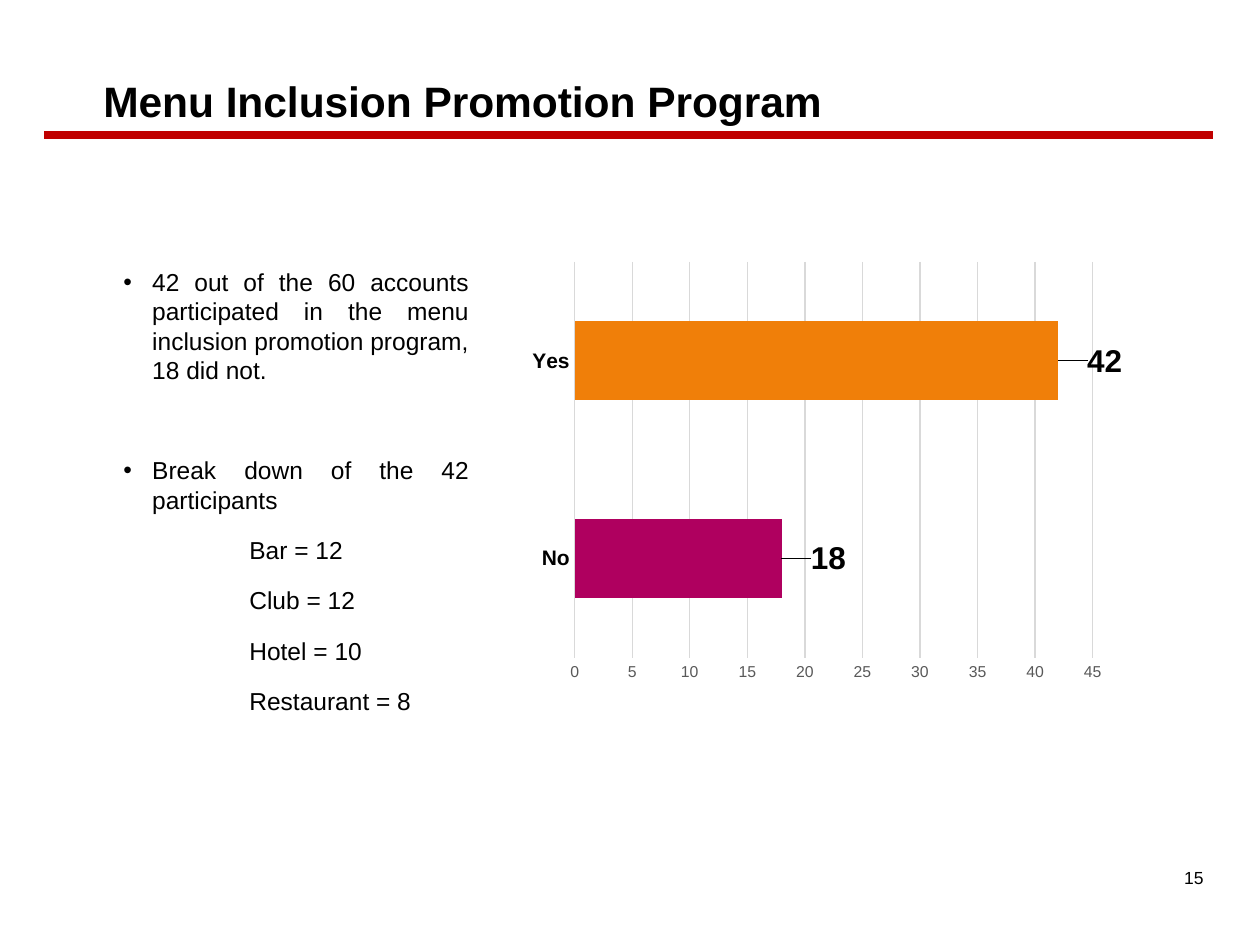
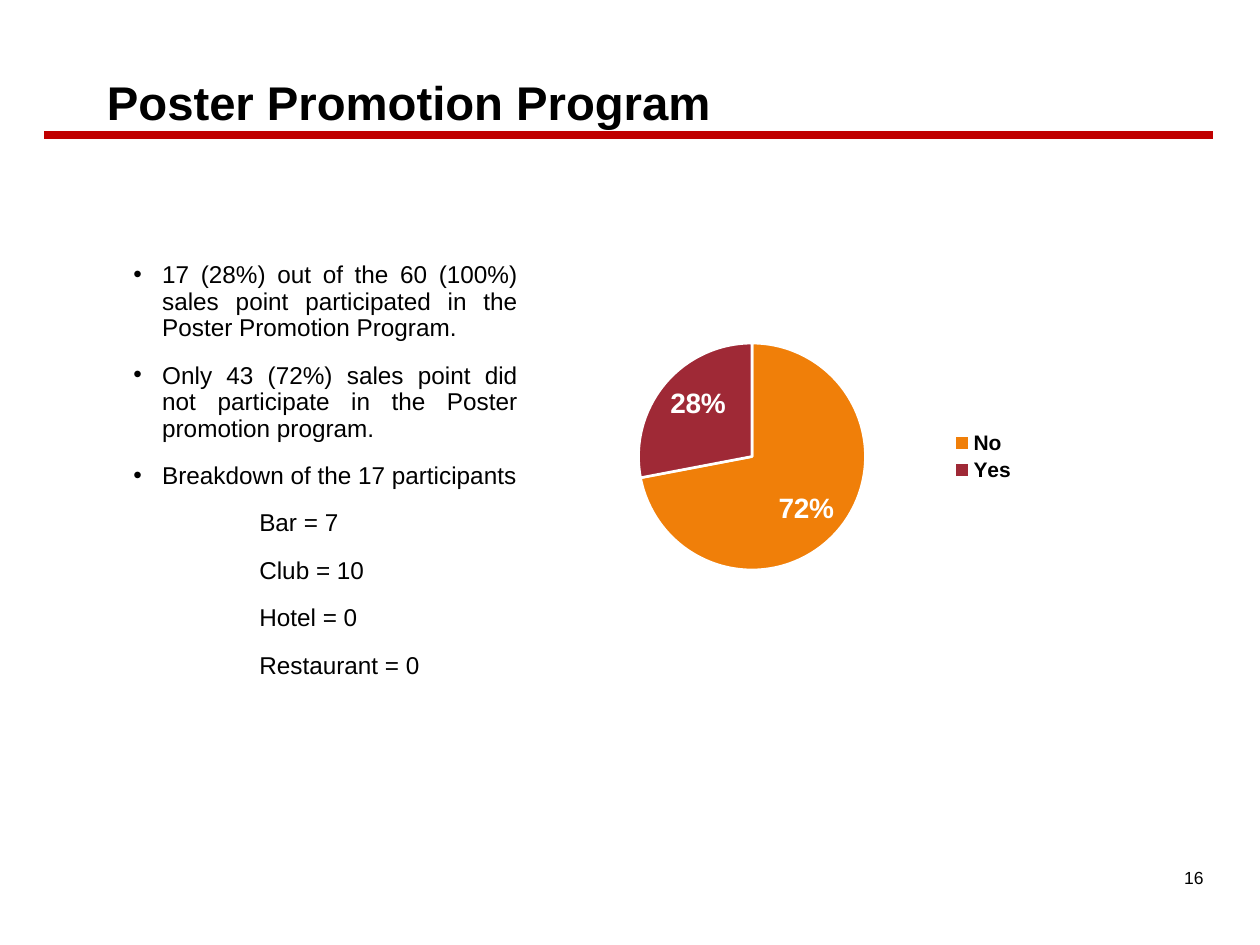
"""Build two promotion programme slides with a title, bullet notes and a chart each."""
from lxml.etree import SubElement
from pptx import Presentation
from pptx.chart.data import CategoryChartData
from pptx.dml.color import RGBColor
from pptx.enum.chart import XL_CHART_TYPE as Chart, XL_LABEL_POSITION as Label
from pptx.enum.chart import XL_LEGEND_POSITION as Legend, XL_TICK_MARK as Tick
from pptx.enum.shapes import MSO_CONNECTOR
from pptx.enum.text import MSO_ANCHOR as Anchor, PP_ALIGN as Align
from pptx.oxml import parse_xml
from pptx.oxml.ns import nsdecls, qn
from pptx.util import Pt

BLACK = RGBColor(0x00, 0x00, 0x00)
WHITE = RGBColor(0xFF, 0xFF, 0xFF)
RED = RGBColor(0xC0, 0x00, 0x00)
ORANGE = RGBColor(0xF0, 0x7F, 0x09)
MAGENTA = RGBColor(0xAF, 0x00, 0x5F)
MAROON = RGBColor(0x9F, 0x29, 0x36)
GRAY = RGBColor(0x59, 0x59, 0x59)
GRID = RGBColor(0xD9, 0xD9, 0xD9)
FONT = "Arial"
HANGING = 16.5
ENTRY_INDENT = 72


def set_font(font, size, color=BLACK, bold=False):
    """Apply the shared typeface with a size, colour and weight."""
    font.name, font.size, font.bold = FONT, Pt(size), bold
    font.color.rgb = color


def write(paragraph, text, size, bold=False, align=None, indent=0, bullet=False,
          pitch=None, after=0):
    """Fill a paragraph with one formatted run."""
    run = paragraph.add_run()
    run.text = text
    set_font(run.font, size, bold=bold)
    paragraph.alignment = align
    paragraph.space_after = Pt(after)
    if pitch:
        paragraph.line_spacing = Pt(pitch)
    properties = paragraph._p.get_or_add_pPr()
    properties.set("marL", str(Pt(indent)))
    properties.set("indent", str(Pt(-indent if bullet else 0)))
    if bullet:
        SubElement(properties, qn("a:buFont")).set("typeface", FONT)
        SubElement(properties, qn("a:buChar")).set("char", "•")


def manual_layout(x, y, w=None, h=None):
    """Return a chart layout element, for an inner plot area when sized."""
    sized = w is not None
    values = [("x", x), ("y", y)] + ([("w", w), ("h", h)] if sized else [])
    modes = '<c:layoutTarget val="inner"/><c:xMode val="edge"/><c:yMode val="edge"/>'
    places = "".join(f'<c:{name} val="{value}"/>' for name, value in values)
    return parse_xml(f'<c:layout {nsdecls("c")}><c:manualLayout>{modes if sized else ""}'
                     f'{places}</c:manualLayout></c:layout>')


class Deck:
    """Hold the shared style and the slide being built."""

    def __init__(self):
        """Open an empty 4:3 presentation."""
        self.file = Presentation()
        self.file.slide_width, self.file.slide_height = Pt(720), Pt(540)
        self.slide = None

    def box(self, left, top, width, height, inset_left=7.2, inset_top=3.6):
        """Add a wrapping text frame."""
        frame = self.slide.shapes.add_textbox(Pt(left), Pt(top), Pt(width), Pt(height)).text_frame
        frame.word_wrap = True
        frame.margin_left, frame.margin_top = Pt(inset_left), Pt(inset_top)
        frame.margin_right, frame.margin_bottom = Pt(7.2), Pt(3.6)
        return frame

    def start(self, number):
        """Add a slide with its page number and title rule."""
        self.slide = self.file.slides.add_slide(self.file.slide_layouts[6])
        page = self.box(504, 491.8, 190.8, 37.4)
        write(page.paragraphs[0], str(number), 10, align=Align.RIGHT)
        rule = self.slide.shapes.add_connector(MSO_CONNECTOR.STRAIGHT,
                                               Pt(25.2), Pt(77), Pt(693.4), Pt(77))
        rule.line.color.rgb, rule.line.width = RED, Pt(4.5)
        SubElement(rule._element.spPr, qn("a:effectLst"))

    def title(self, text, size, *place):
        """Add the bottom-anchored slide title."""
        frame = self.box(*place, inset_left=28)
        frame.vertical_anchor = Anchor.BOTTOM
        write(frame.paragraphs[0], text, size, bold=True)

    def notes(self, bullets, entries, place, inset_top, size, pitch, bullet_gap=12):
        """Add justified bullets followed by an indented breakdown."""
        frame = self.box(*place, inset_left=28, inset_top=inset_top)
        for index, text in enumerate(bullets + entries):
            paragraph = frame.add_paragraph() if index else frame.paragraphs[0]
            bullet = index < len(bullets)
            after = bullet_gap if index < len(bullets) - 1 else 12
            write(paragraph, text, size, align=Align.JUSTIFY, bullet=bullet, pitch=pitch,
                  indent=HANGING if bullet else ENTRY_INDENT, after=after)

    def chart(self, kind, values, colors, place, plot_place):
        """Add a No/Yes chart with one colour per point."""
        data = CategoryChartData()
        data.categories = ["No", "Yes"]
        data.add_series("Series 1", values)
        chart = self.slide.shapes.add_chart(kind, *map(Pt, place), data).chart
        chart.has_title = chart.has_legend = False
        set_font(chart.font, 10)
        area = chart._chartSpace.chart.plotArea
        for layout in area.findall(qn("c:layout")):
            area.remove(layout)
        area.insert(0, manual_layout(*plot_place))
        chart.plots[0].vary_by_categories = kind == Chart.PIE
        for index, color in enumerate(colors):
            fill = chart.plots[0].series[0].points[index].format.fill
            fill.solid()
            fill.fore_color.rgb = color
        return chart

    def bars(self, values, colors, place, plot_place):
        """Add a horizontal bar chart with values beyond the bars."""
        chart = self.chart(Chart.BAR_CLUSTERED, values, colors, place, plot_place)
        chart.plots[0].gap_width = 150
        for index in range(len(values)):
            label = chart.plots[0].series[0].points[index].data_label
            set_font(label.font, 18, bold=True)
            label.position = Label.OUTSIDE_END
            label._dLbl.insert(1, manual_layout(0.04, 0))
        answers, scale = chart.category_axis, chart.value_axis
        for axis in (answers, scale):
            axis.major_tick_mark = axis.minor_tick_mark = Tick.NONE
            axis.format.line.fill.background()
        set_font(answers.tick_labels.font, 12, bold=True)
        set_font(scale.tick_labels.font, 9, GRAY)
        scale.minimum_scale, scale.maximum_scale, scale.major_unit = 0, 45, 5
        scale.has_major_gridlines = True
        grid = scale.major_gridlines.format.line
        grid.color.rgb, grid.width = GRID, Pt(0.75)

    def pie(self, values, colors, place, plot_place):
        """Add a pie chart with percentages and a legend."""
        chart = self.chart(Chart.PIE, values, colors, place, plot_place)
        plot = chart.plots[0]
        for index in range(len(values)):
            edge = plot.series[0].points[index].format.line
            edge.color.rgb, edge.width = WHITE, Pt(1.5)
        plot.has_data_labels = True
        labels = plot.data_labels
        labels.show_percentage, labels.show_value = True, False
        labels.number_format, labels.number_format_is_linked = "0%", False
        labels.position = Label.INSIDE_END
        set_font(labels.font, 16, WHITE, bold=True)
        chart.has_legend = True
        chart.legend.position = Legend.RIGHT
        chart.legend.include_in_layout = False
        set_font(chart.legend.font, 12, bold=True)


def breakdown(*counts):
    """Return the outlet lines with their counts."""
    return [f"{outlet} = {count}" for outlet, count
            in zip(("Bar", "Club", "Hotel", "Restaurant"), counts)]


deck = Deck()

deck.start(15)
deck.title("Menu Inclusion Promotion Program", 24.3, 31, 31.7, 459.4, 43.9)
deck.notes(["42 out of the 60 accounts participated in the menu inclusion promotion "
            "program, 18 did not.",
            "Break down of the 42 participants"],
           breakdown(12, 12, 10, 8), (42.5, 120.2, 232.6, 300.2),
           inset_top=32.4, size=14, pitch=16.75, bullet_gap=40.75)
deck.bars((18, 42), (MAGENTA, ORANGE), (297.4, 144.7, 344.2, 251.3), (0.09, 0.02, 0.86, 0.9))

deck.start(16)
deck.title("Poster Promotion Program", 27, 33.1, 20.9, 389.5, 56.9)
deck.notes(["17 (28%) out of the 60 (100%) sales point participated in the Poster "
            "Promotion Program.",
            "Only 43 (72%) sales point did not participate in the Poster promotion program.",
            "Breakdown of the 17 participants"],
           breakdown(7, 10, 0, 0), (48.2, 119.5, 254.9, 320.4),
           inset_top=30.4, size=13.9, pitch=15.1)
deck.pie((72, 28), (ORANGE, MAROON), (315.4, 177.8, 272.2, 166.3), (0.18, 0.11, 0.48, 0.78))

deck.file.save("out.pptx")
